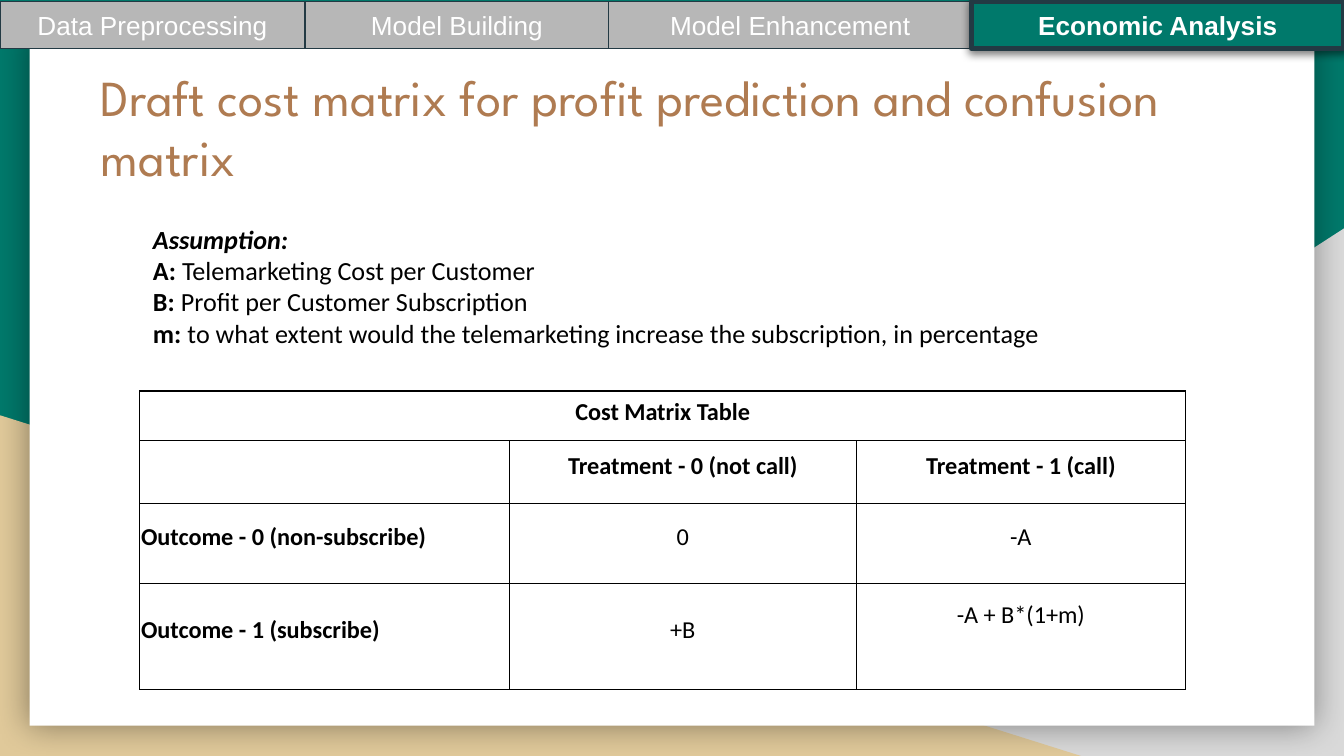
from lxml import etree
from pptx import Presentation
from pptx.dml.color import RGBColor
from pptx.enum.shapes import MSO_SHAPE as Shape
from pptx.enum.text import MSO_ANCHOR as Anchor, MSO_AUTO_SIZE as AutoSize, PP_ALIGN as Align
from pptx.oxml import parse_xml
from pptx.oxml.ns import nsdecls, qn
from pptx.util import Inches, Pt

COLORS = {
    "green": "00796B", "grey": "D9D9D9", "sand": "E0C99A", "white": "FFFFFF",
    "brown": "AF7B51", "black": "000000", "tab": "B7B7B7", "outline": "233A44",
}
TABS = [("Data Preprocessing", 2.27), ("Model Building", 2.26),
        ("Model Enhancement", 2.7), ("Economic Analysis", 2.77)]
ASSUMPTIONS = [
    ("Assumption:", ""),
    ("A: ", "Telemarketing Cost per Customer"),
    ("B: ", "Profit per Customer Subscription"),
    ("m:", " to what extent would the telemarketing increase the subscription, in percentage"),
]
MATRIX = [
    ["Cost Matrix Table", "", ""],
    ["", "Treatment - 0 (not call)", "Treatment - 1 (call)"],
    ["Outcome - 0 (non-subscribe)", "0", "-A"],
    ["Outcome - 1 (subscribe)", "+B", "-A + B*(1+m)"],
]
COLUMN_WIDTHS = [2.75, 2.58, 2.45]
ROW_HEIGHTS = [0.37, 0.47, 0.59, 0.79]


def color(name):
    """Return the named colour as an RGBColor."""
    return RGBColor.from_string(COLORS[name])


def style_run(run, font, size, color_name, bold=False, italic=False):
    """Format one run of text."""
    run.font.name = font
    run.font.size = Pt(size)
    run.font.color.rgb = color(color_name)
    run.font.bold = bold
    run.font.italic = italic


def set_insets(target, left, top, right, bottom):
    """Set the inner margins of a text frame or table cell."""
    target.margin_left, target.margin_top = Inches(left), Inches(top)
    target.margin_right, target.margin_bottom = Inches(right), Inches(bottom)


def add_block(slide, kind, left, top, width, height, fill):
    """Add a flat preset shape without an outline."""
    shape = slide.shapes.add_shape(kind, Inches(left), Inches(top), Inches(width), Inches(height))
    shape.shadow.inherit = False
    shape.fill.solid()
    shape.fill.fore_color.rgb = color(fill)
    shape.line.fill.background()
    return shape


def add_shadow(shape, opacity, blur, distance, angle):
    """Give a shape a soft black outer shadow."""
    effects = shape._element.spPr.find(qn("a:effectLst"))
    effects.append(parse_xml(
        f'<a:outerShdw {nsdecls("a")} blurRad="{Pt(blur)}" dist="{Pt(distance)}" '
        f'dir="{angle * 60000}" algn="bl" rotWithShape="0"><a:srgbClr val="{COLORS["black"]}">'
        f'<a:alpha val="{opacity * 1000}"/></a:srgbClr></a:outerShdw>'))


def add_backdrop(slide):
    """Draw the green background, corner triangles and white card."""
    slide.background.fill.solid()
    slide.background.fill.fore_color.rgb = color("green")
    corner = add_block(slide, Shape.RIGHT_TRIANGLE, 3.92, 1.7, 6.08, 3.93, "grey")
    corner._element.spPr.find(qn("a:xfrm")).set("flipH", "1")
    add_block(slide, Shape.RIGHT_TRIANGLE, 0, 3.09, 8.06, 2.54, "sand")
    card = add_block(slide, Shape.RECTANGLE, 0.22, 0.23, 9.56, 5.17, "white")
    add_shadow(card, 40, 18, 0, 0)


def add_title(slide, text):
    """Fill the title placeholder and bring it above the backdrop."""
    title = slide.shapes.title
    title.left, title.top = Inches(0.65), Inches(0.39)
    title.width, title.height = Inches(8.66), Inches(1.04)
    frame = title.text_frame
    frame.text = text
    frame.word_wrap = True
    frame.auto_size = AutoSize.NONE
    frame.vertical_anchor = Anchor.TOP
    set_insets(frame, 0.1, 0.1, 0.1, 0.1)
    frame.paragraphs[0].alignment = Align.LEFT
    style_run(frame.paragraphs[0].runs[0], "League Spartan", 27, "brown")
    slide.shapes._spTree.append(title._element)


def add_assumptions(slide):
    """Add the list of symbols with bold labels."""
    box = slide.shapes.add_textbox(Inches(1.04), Inches(1.56), Inches(7.16), Inches(1.14))
    frame = box.text_frame
    frame.word_wrap = True
    set_insets(frame, 0.1, 0.1, 0.1, 0.1)
    for index, (label, meaning) in enumerate(ASSUMPTIONS):
        paragraph = frame.add_paragraph() if index else frame.paragraphs[0]
        paragraph.text = label
        style_run(paragraph.runs[0], "Calibri", 14, "black", bold=True, italic=not meaning)
        if meaning:
            run = paragraph.add_run()
            run.text = meaning
            style_run(run, "Calibri", 14, "black")


def add_borders(cell):
    """Draw a thin black line on every side of a cell."""
    properties = cell._tc.get_or_add_tcPr()
    for index, side in enumerate(("lnL", "lnR", "lnT", "lnB")):
        line = etree.Element(qn(f"a:{side}"), w=str(Pt(0.75)))
        fill = etree.SubElement(line, qn("a:solidFill"))
        etree.SubElement(fill, qn("a:srgbClr"), val=COLORS["black"])
        properties.insert(index, line)


def add_cost_matrix(slide):
    """Add the bordered cost matrix table."""
    table = slide.shapes.add_table(
        len(MATRIX), len(COLUMN_WIDTHS), Inches(1.04), Inches(2.91),
        Inches(sum(COLUMN_WIDTHS)), Inches(sum(ROW_HEIGHTS))).table
    table.first_row = table.horz_banding = False
    for column, width in zip(table.columns, COLUMN_WIDTHS):
        column.width = Inches(width)
    for row_index, (values, height) in enumerate(zip(MATRIX, ROW_HEIGHTS)):
        table.rows[row_index].height = Inches(height)
        for column_index, text in enumerate(values):
            cell = table.cell(row_index, column_index)
            cell.fill.background()
            add_borders(cell)
            set_insets(cell, 0.01, 0.01, 0.01, 0.1)
            cell.vertical_anchor = Anchor.MIDDLE
            if not text:
                continue
            cell.text = text
            paragraph = cell.text_frame.paragraphs[0]
            is_row_label = row_index > 1 and column_index == 0
            paragraph.alignment = Align.LEFT if is_row_label else Align.CENTER
            style_run(paragraph.runs[0], "Calibri", 13, "black",
                      bold=row_index < 2 or column_index == 0)
    table.cell(0, 0).merge(table.cell(0, 2))
    table.cell(0, 0).vertical_anchor = Anchor.BOTTOM
    table.cell(3, 2).margin_bottom = Inches(0.32)


def add_tabs(slide, active):
    """Add the navigation tabs and highlight the active one."""
    left = 0
    for label, width in TABS:
        is_active = label == active
        tab = add_block(slide, Shape.RECTANGLE, left, 0.01, width, 0.35,
                        "green" if is_active else "tab")
        tab.line.color.rgb = color("outline")
        tab.line.width = Pt(3 if is_active else 0.75)
        if is_active:
            add_shadow(tab, 50, 4.5, 1.5, 90)
        frame = tab.text_frame
        frame.text = label
        frame.word_wrap = True
        frame.vertical_anchor = Anchor.MIDDLE
        set_insets(frame, 0.1, 0.1, 0.1, 0.1)
        frame.paragraphs[0].alignment = Align.CENTER
        style_run(frame.paragraphs[0].runs[0], "Arial", 14, "white", bold=is_active)
        left += width


def main():
    """Build and save the slide."""
    presentation = Presentation()
    presentation.slide_width = Inches(10)
    presentation.slide_height = Inches(10 * 9 / 16)
    slide = presentation.slides.add_slide(presentation.slide_layouts[5])
    add_backdrop(slide)
    add_title(slide, "Draft cost matrix for profit prediction and confusion matrix")
    add_assumptions(slide)
    add_cost_matrix(slide)
    add_tabs(slide, "Economic Analysis")
    presentation.save("out.pptx")


if __name__ == "__main__":
    main()
